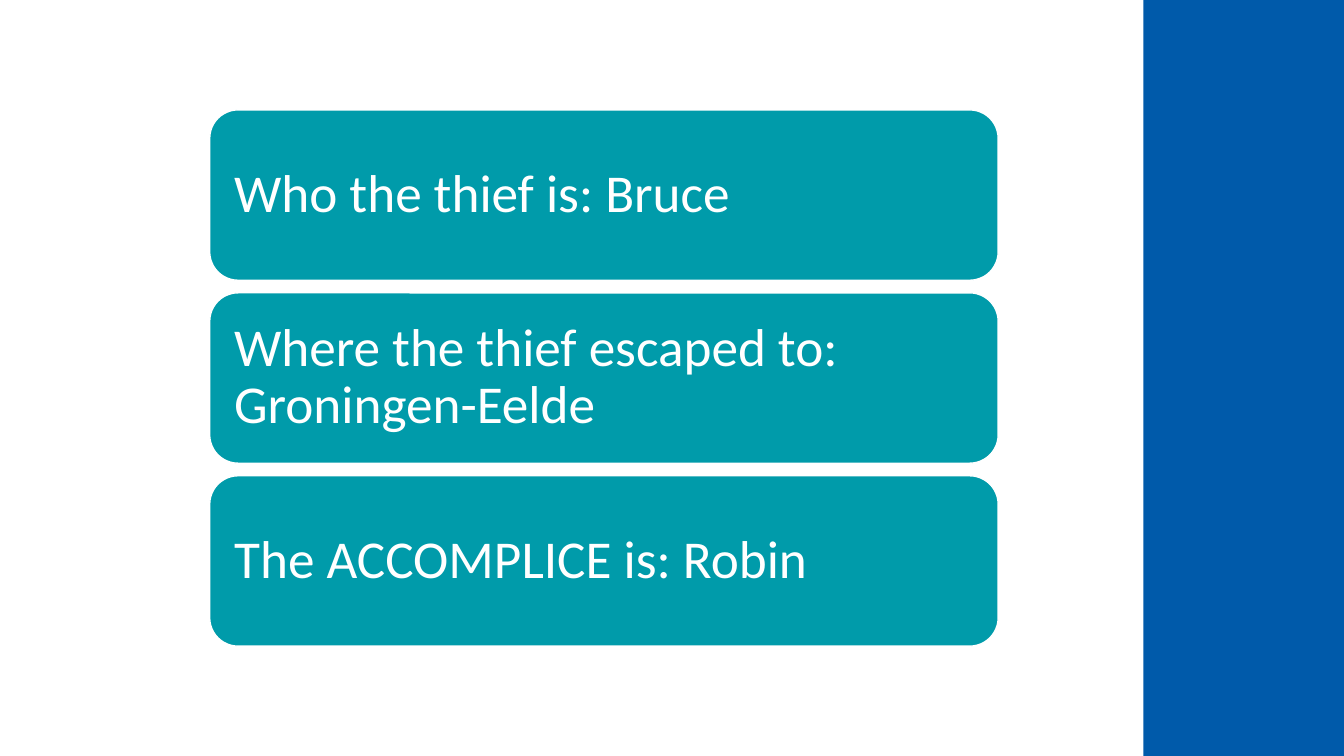
import pptx
import pptx.util
import pptx.dml.color
import pptx.enum.shapes
import pptx.enum.text

Inches = pptx.util.Inches
Pt = pptx.util.Pt
SHAPES = pptx.enum.shapes.MSO_SHAPE

COLOURS = {"band": "005AAA", "card": "009BAA", "white": "FFFFFF"}
ANSWERS = [
    "Who the thief is: Bruce",
    "Where the thief escaped to: Groningen-Eelde",
    "The ACCOMPLICE is: Robin",
]
CARD_LEFT, CARD_TOP, CARD_WIDTH, CARD_HEIGHT = 2.08, 1.09, 7.82, 1.69
CARD_STEP = 1.815
CARD_INSET = 0.16


def colour(name):
    return pptx.dml.color.RGBColor.from_string(COLOURS[name])


def add_filled_shape(page, kind, left, top, width, height, fill):
    shape = page.shapes.add_shape(
        kind, Inches(left), Inches(top), Inches(width), Inches(height))
    shape.shadow.inherit = False
    shape.fill.solid()
    shape.fill.fore_color.rgb = colour(fill)
    shape.line.fill.background()
    return shape


def add_answer_card(page, top, text):
    card = add_filled_shape(page, SHAPES.ROUNDED_RECTANGLE, CARD_LEFT, top,
                            CARD_WIDTH, CARD_HEIGHT, "card")
    card.line.color.rgb = colour("white")
    card.line.width = Pt(1)

    frame = card.text_frame
    frame.word_wrap = True
    frame.vertical_anchor = pptx.enum.text.MSO_ANCHOR.MIDDLE
    frame.margin_left = frame.margin_right = Inches(CARD_INSET)
    frame.margin_top = frame.margin_bottom = Inches(CARD_INSET)

    para = frame.paragraphs[0]
    para.text = text
    para.alignment = pptx.enum.text.PP_ALIGN.LEFT
    para.line_spacing = 0.9
    para.font.name = "Calibri"
    para.font.size = Pt(38)
    para.font.color.rgb = colour("white")


def main():
    deck = pptx.Presentation()
    deck.slide_width = Inches(13.33)
    deck.slide_height = Inches(7.5)
    page = deck.slides.add_slide(deck.slide_layouts[6])

    # Side band
    add_filled_shape(page, SHAPES.RECTANGLE, 11.34, 0, 1.99, 7.5, "band")

    # Stack of answers
    for index, answer in enumerate(ANSWERS):
        add_answer_card(page, CARD_TOP + index * CARD_STEP, answer)

    deck.save("out.pptx")


if __name__ == "__main__":
    main()
